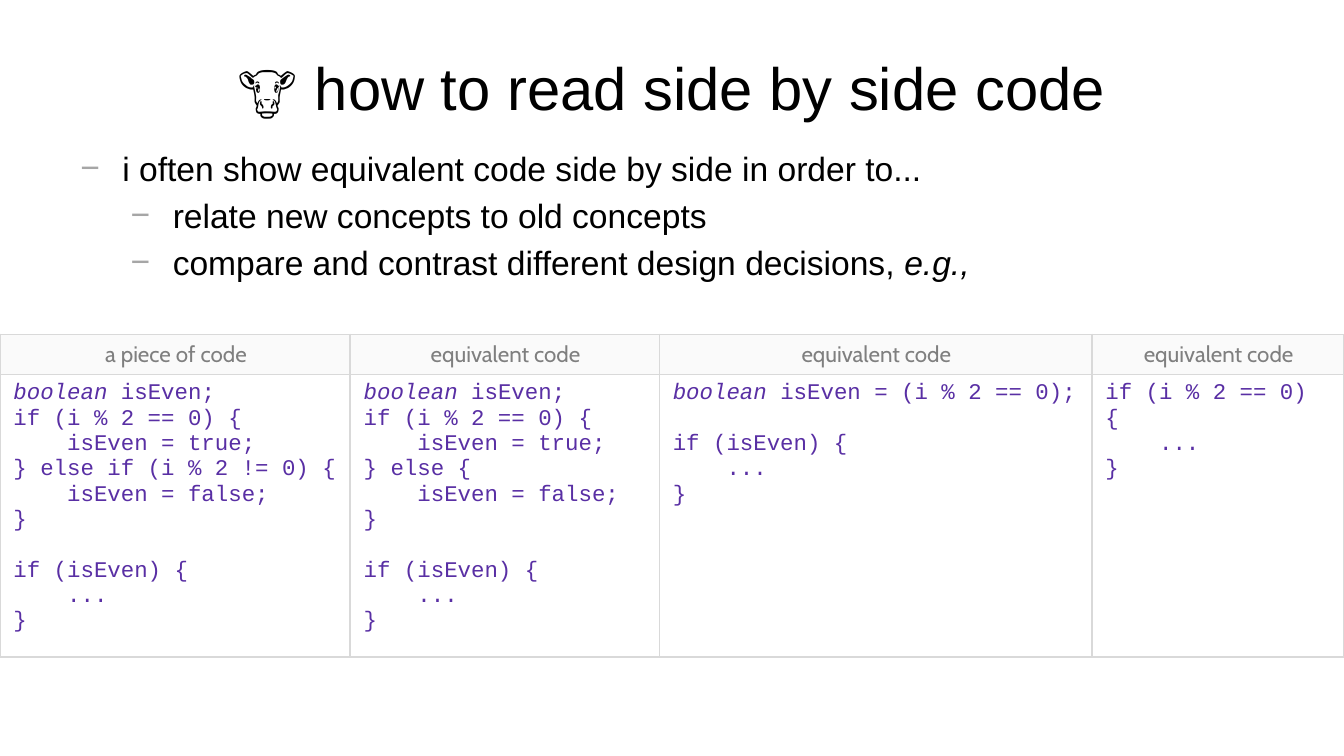
"""Build a slide that explains how to read side by side code."""
from lxml.etree import SubElement
from pptx import Presentation
from pptx.dml.color import RGBColor as RGB
from pptx.enum.text import MSO_ANCHOR as ANCHOR, PP_ALIGN as ALIGN
from pptx.oxml import parse_xml
from pptx.oxml.ns import nsdecls, qn
from pptx.util import Emu, Pt

PX = 5715
COLORS = {"text": "000000", "bullet": "A6A6A6", "border": "D9D9D9", "head": "7F7F7F",
          "head_fill": "FAFAFA", "code": "592FA4", "code_fill": "FFFFFF"}
HANGING = 50
LEVEL_STEP = 60
HEAD_INDENT = 2
CODE_INDENT = 64
CODE_LINE = 13.6

BULLETS = [
    (0, [("i often show equivalent code side by side in order to...", False)]),
    (1, [("relate new concepts to old concepts", False)]),
    (1, [("compare and contrast different design decisions, ", False), ("e.g.,", True)]),
]
USE = """if (isEven) {
    ...
}"""
BRANCHES = """boolean isEven;
if (i % 2 == 0) {
    isEven = true;
ELSE
    isEven = false;
}

""" + USE
COLUMNS = [
    (417, "a piece of code", BRANCHES.replace("ELSE", "} else if (i % 2 != 0) {")),
    (368, "equivalent code", BRANCHES.replace("ELSE", "} else {")),
    (515, "equivalent code", "boolean isEven = (i % 2 == 0);\n\n" + USE),
    (300, "equivalent code", USE.replace("isEven", "i % 2 == 0")),
]


def px(n):
    return Emu(n * PX)


def add_run(p, text, size=12, font="Arial", color="text", italic=False):
    r = p.add_run()
    r.text = text
    r.font.size, r.font.name, r.font.italic = Pt(size), font, italic
    r.font.color.rgb = RGB.from_string(COLORS[color])


def indent(p, left, first=0):
    pPr = p._p.get_or_add_pPr()
    pPr.set("marL", str(px(left)))
    pPr.set("indent", str(px(first)))
    return pPr


def next_paragraph(tf, first):
    return tf.paragraphs[0] if first else tf.add_paragraph()


class Deck:
    def __init__(self, width, height):
        self.prs = Presentation()
        self.prs.slide_width, self.prs.slide_height = px(width), px(height)
        self.s = self.prs.slides.add_slide(self.prs.slide_layouts[5])

    def title(self, text, x, y, w, h):
        sp = self.s.shapes.title
        sp.left, sp.top, sp.width, sp.height = map(px, (x, y, w, h))
        tf = sp.text_frame
        tf.vertical_anchor = ANCHOR.MIDDLE
        p = tf.paragraphs[0]
        p.alignment = ALIGN.CENTER
        add_run(p, text, size=32)

    def bullets(self, items, x, y, w, h):
        tf = self.s.shapes.add_textbox(*map(px, (x, y, w, h))).text_frame
        tf.word_wrap = True
        for i, (level, runs) in enumerate(items):
            p = next_paragraph(tf, i == 0)
            p.level, p.space_before = level, Pt(3.6)
            for text, italic in runs:
                add_run(p, text, size=18, italic=italic)
            pPr = indent(p, HANGING + LEVEL_STEP * level, -HANGING)
            color = SubElement(pPr, qn("a:buClr"))
            SubElement(color, qn("a:srgbClr"), val=COLORS["bullet"])
            SubElement(pPr, qn("a:buFont"), typeface="Arial")
            SubElement(pPr, qn("a:buChar"), char="−")

    def code_table(self, columns, x, y, w, heights):
        frame = self.s.shapes.add_table(len(heights), len(columns),
                                        *map(px, (x, y, w, sum(heights))))
        table = frame.table
        table.first_row = table.horz_banding = False
        for row, height in zip(table.rows, heights):
            row.height = px(height)
        for i, (width, heading, code) in enumerate(columns):
            table.columns[i].width = px(width)
            head, body = table.cell(0, i), table.cell(1, i)
            self.style_cell(head, "head_fill")
            self.style_cell(body, "code_fill")
            p = head.text_frame.paragraphs[0]
            p.alignment = ALIGN.CENTER
            indent(p, HEAD_INDENT)
            add_run(p, heading, font="Cabin", color="head")
            self.code(body.text_frame, code)

    def style_cell(self, cell, fill):
        cell.fill.solid()
        cell.fill.fore_color.rgb = RGB.from_string(COLORS[fill])
        tcPr = cell._tc.get_or_add_tcPr()
        for i, side in enumerate("LRTB"):
            tcPr.insert(i, parse_xml(
                f'<a:ln{side} {nsdecls("a")} w="{Pt(1)}"><a:solidFill>'
                f'<a:srgbClr val="{COLORS["border"]}"/></a:solidFill></a:ln{side}>'))

    def code(self, tf, source):
        for b, block in enumerate(source.split("\n\n")):
            for i, line in enumerate(block.split("\n")):
                p = next_paragraph(tf, b == i == 0)
                if b and i == 0:
                    p.space_before = Pt(CODE_LINE)
                text = line.lstrip()
                if text != line:
                    indent(p, CODE_INDENT)
                _, keyword, rest = text.rpartition("boolean ")
                if keyword:
                    add_run(p, keyword, font="Courier New", color="code", italic=True)
                add_run(p, rest, font="Courier New", color="code")


def main():
    deck = Deck(1600, 900)
    deck.title("🐮 how to read side by side code", 80, 45, 1440, 117)
    deck.bullets(BULLETS, 80, 168, 1440, 714)
    deck.code_table(COLUMNS, 0, 398, 1600, (48, 336))
    deck.prs.save("out.pptx")


if __name__ == "__main__":
    main()
